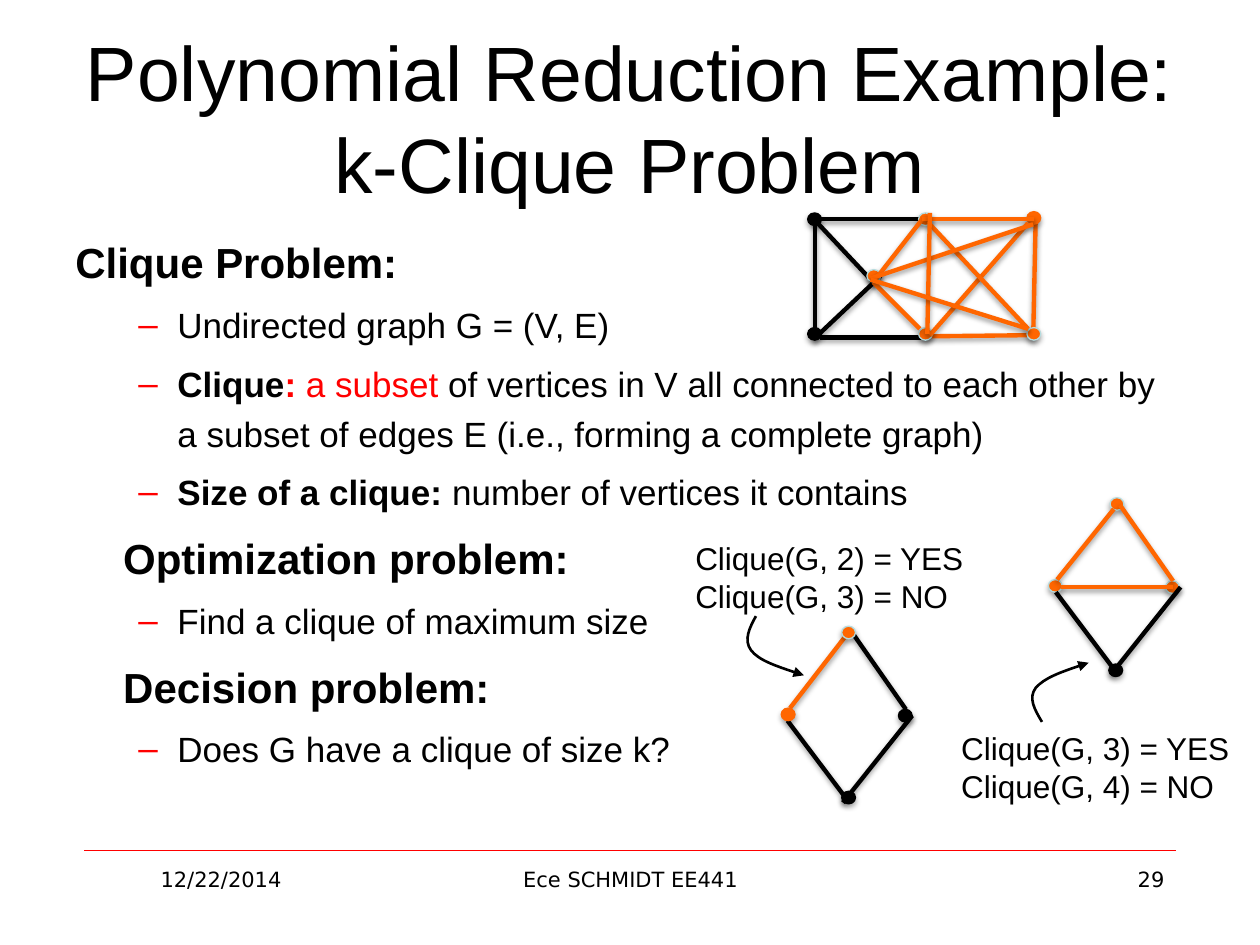
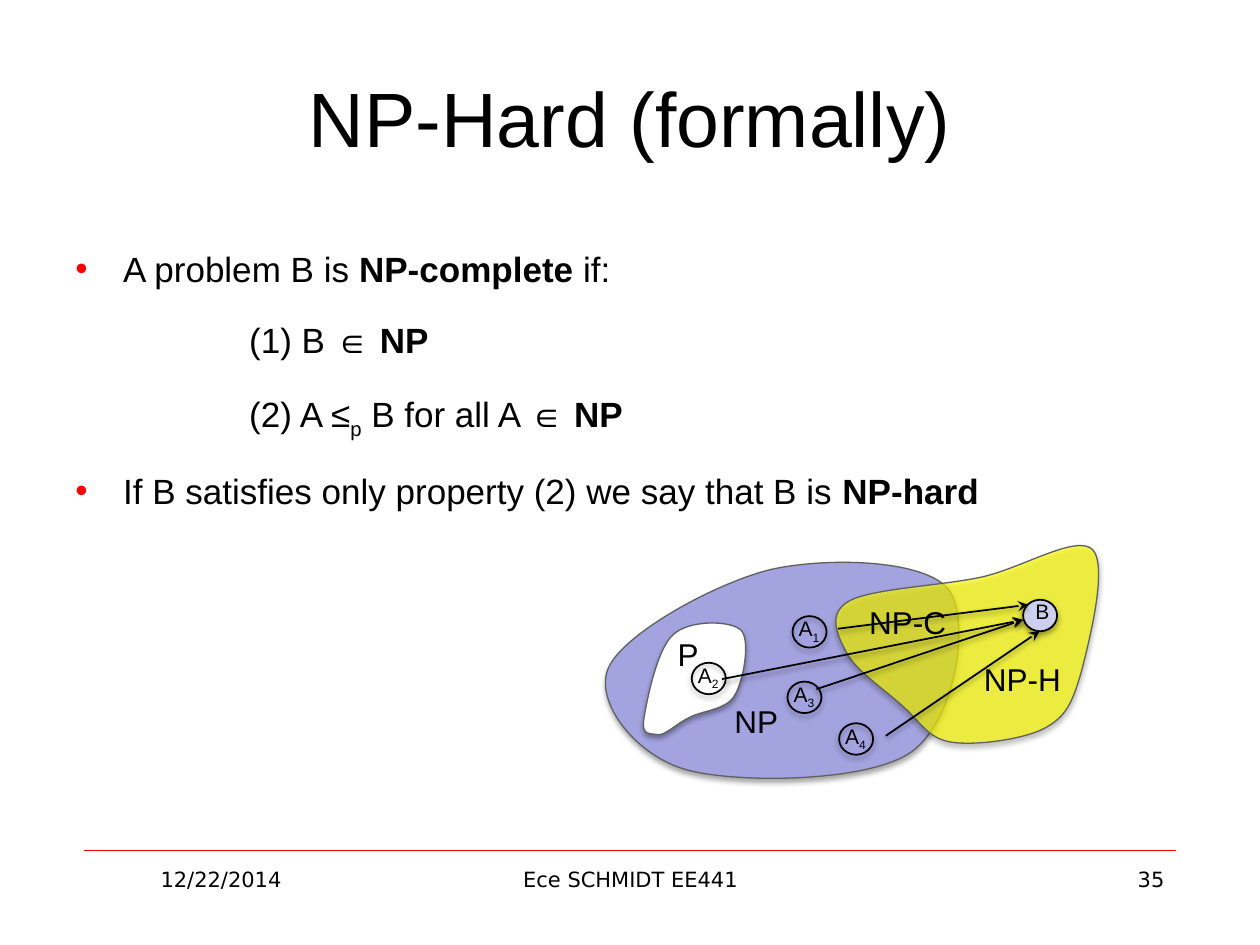
from dataclasses import dataclass

from lxml import etree
from pptx import Presentation
from pptx.dml.color import RGBColor
from pptx.enum.shapes import MSO_CONNECTOR, MSO_SHAPE
from pptx.enum.text import MSO_ANCHOR, PP_ALIGN
from pptx.oxml.ns import qn
from pptx.oxml.xmlchemy import OxmlElement
from pptx.util import Inches, Pt

STRAIGHT = MSO_CONNECTOR.STRAIGHT
OVAL = MSO_SHAPE.OVAL
LEFT, CENTER, RIGHT = PP_ALIGN.LEFT, PP_ALIGN.CENTER, PP_ALIGN.RIGHT
TOP, MIDDLE = MSO_ANCHOR.TOP, MSO_ANCHOR.MIDDLE


@dataclass(frozen=True)
class Theme:
    black: str = "000000"
    red: str = "FF0000"
    orange: str = "FF6600"
    pale_teal: str = "B6DCDF"
    lavender: str = "A3A3E0"
    light_lavender: str = "CECEEF"
    yellow: str = "FFFF00"
    white: str = "FFFFFF"
    grey: str = "606060"
    font: str = "Arial"
    footer_font: str = "DejaVu Sans"
    title_size: int = 44
    heading_size: int = 24
    body_size: int = 20
    label_size: int = 18
    small_size: int = 12


THEME = Theme()
BOLD = {"bold": True}
RED = {"color": THEME.red}
SUBSCRIPT = {"subscript": True}
TITLE_BOX = (0.5, 0.3, 9, 1.25)
BODY_BOX = (0.5, 1.75, 9, 4.95)
NODE_SIZE = (0.11, 0.1)
CIRCLE_SIZE = (0.27, 0.25)


def rgb(color):
    return RGBColor.from_string(color)


def write_run(paragraph, text, size, font=THEME.font, color=THEME.black,
              bold=False, subscript=False):
    run = paragraph.add_run()
    run.text = text
    run.font.size = Pt(size)
    run.font.name = font
    run.font.color.rgb = rgb(color)
    run.font.bold = bold
    if subscript:
        run.font._element.set("baseline", "-25000")


def write_paragraph(paragraph, runs, align=LEFT, margin=0, hanging=0, bullet=None,
                    line_spacing=1.0, before=0, **run_format):
    paragraph.alignment = align
    paragraph.line_spacing = line_spacing
    paragraph.space_before = Pt(before)
    properties = paragraph._p.get_or_add_pPr()
    properties.set("marL", str(Inches(margin)))
    properties.set("indent", str(-Inches(hanging)))
    if bullet:
        bullet_color = etree.SubElement(properties, qn("a:buClr"))
        etree.SubElement(bullet_color, qn("a:srgbClr"), val=THEME.red)
        etree.SubElement(properties, qn("a:buFont"), typeface=THEME.font)
        etree.SubElement(properties, qn("a:buChar"), char=bullet)
    for run in runs:
        text, changes = (run, {}) if isinstance(run, str) else run
        write_run(paragraph, text, **{**run_format, **changes})


def add_text(slide, box, paragraphs, anchor=TOP, wrap=True, **shared_format):
    frame = slide.shapes.add_textbox(*map(Inches, box)).text_frame
    frame.word_wrap = wrap
    frame.vertical_anchor = anchor
    for index, (runs, own_format) in enumerate(paragraphs):
        paragraph = frame.add_paragraph() if index else frame.paragraphs[0]
        write_paragraph(paragraph, runs, **{**shared_format, **own_format})


def add_label(slide, box, *lines, size=THEME.label_size, **text_format):
    add_text(slide, box, [([line], {}) for line in lines], size=size, **text_format)


def add_shadow(effects, distance, opacity):
    shadow = etree.SubElement(effects, qn("a:outerShdw"), blurRad=str(Pt(3.1)),
                              dist=str(Pt(distance)), dir="5400000", rotWithShape="0")
    shadow_color = etree.SubElement(shadow, qn("a:srgbClr"), val=THEME.black)
    etree.SubElement(shadow_color, qn("a:alpha"), val=str(opacity * 1000))


def set_line(line, color, width, arrow=None):
    line.color.rgb = rgb(color)
    line.width = Pt(width)
    if arrow:
        etree.SubElement(line._get_or_add_ln(), qn("a:tailEnd"), type=arrow)


def style_shape(shape, fill, outline, width, opacity=None, shadow=True, arrow=None):
    if fill:
        shape.fill.solid()
        shape.fill.fore_color.rgb = rgb(fill)
    else:
        shape.fill.background()
    if opacity:
        fill_color = shape._element.spPr.find(qn("a:solidFill"))[0]
        etree.SubElement(fill_color, qn("a:alpha"), val=str(opacity * 1000))
    set_line(shape.line, outline, width, arrow)
    shape.shadow.inherit = False
    if shadow:
        add_shadow(shape._element.spPr.find(qn("a:effectLst")), 1.8, 35)


def add_line(slide, start, end, color=THEME.black, width=2.5, arrow=None, shadow=True):
    connector = slide.shapes.add_connector(STRAIGHT, *map(Inches, (*start, *end)))
    set_line(connector.line, color, width, arrow)
    effects = etree.SubElement(connector._element.spPr, qn("a:effectLst"))
    if shadow:
        add_shadow(effects, 1.6, 38)


def add_oval(slide, corner, size, fill, outline, width):
    oval = slide.shapes.add_shape(OVAL, *map(Inches, (*corner, *size)))
    style_shape(oval, fill, outline, width)


def add_curve(slide, points, fill=None, outline=THEME.grey, width=0.75, **style):
    start, *rest = [tuple(map(Inches, point)) for point in points]
    builder = slide.shapes.build_freeform(*start)
    builder.add_line_segments(rest, close=bool(fill))
    curve = builder.convert_to_shape()
    segments = list(curve._element.iter(qn("a:lnTo")))
    for first in range(0, len(segments), 3):
        bezier = OxmlElement("a:cubicBezTo")
        segments[first].addprevious(bezier)
        for segment in segments[first:first + 3]:
            bezier.append(segment[0])
            segment.getparent().remove(segment)
    style_shape(curve, fill, outline, width, **style)


def add_edges(slide, color, edges):
    for start, end in edges:
        add_line(slide, start, end, color)


def add_nodes(slide, fill, outline, corners):
    for corner in corners:
        add_oval(slide, corner, NODE_SIZE, fill, outline, 0.75)


def add_pointer(slide, points):
    add_curve(slide, points, outline=THEME.black, width=1.5, shadow=False, arrow="triangle")


def add_problem(slide, corner, runs, label_offset=(-0.05, -0.05), label_width=0.41, fill=None):
    add_oval(slide, corner, CIRCLE_SIZE, fill, THEME.black, 1)
    left, top = (place + offset for place, offset in zip(corner, label_offset))
    add_text(slide, (left, top, label_width, 0.3), [(runs, {})], size=THEME.small_size)


def add_frame(deck, title, number):
    slide = deck.slides.add_slide(deck.slide_layouts[6])
    add_line(slide, (0.67, 6.75), (9.33, 6.75), THEME.red, 0.25, shadow=False)
    add_label(slide, TITLE_BOX, title, size=THEME.title_size, align=CENTER, anchor=MIDDLE)
    footers = (("12/22/2014", 0.67, 2.17, CENTER),
               ("Ece SCHMIDT EE441", 3.42, 3.17, CENTER),
               (str(number), 7.17, 2.17, RIGHT))
    for text, left, width, align in footers:
        add_label(slide, (left, 6.83, width, 0.52), text, size=THEME.small_size,
                  font=THEME.footer_font, align=align)
    return slide


def add_five_clique(slide):
    add_edges(slide, THEME.black, [
        ((6.46, 1.74), (6.93, 2.24)), ((6.47, 1.75), (6.47, 2.69)),
        ((6.46, 2.69), (6.99, 2.19)), ((6.47, 1.74), (7.29, 1.74)),
        ((6.51, 2.68), (7.38, 2.68))])
    add_edges(slide, THEME.orange, [
        ((8.2, 2.66), (7.32, 2.67)), ((8.22, 1.74), (8.2, 2.69))])
    add_nodes(slide, THEME.black, THEME.black, [(6.41, 2.6), (6.41, 1.69)])
    add_nodes(slide, THEME.orange, THEME.pale_teal,
              [(7.29, 1.69), (8.15, 2.6), (7.29, 2.6), (6.88, 2.14)])
    add_nodes(slide, THEME.orange, THEME.orange, [(8.15, 1.68)])
    add_edges(slide, THEME.orange, [
        ((7.32, 1.74), (6.93, 2.24)), ((7.32, 1.74), (8.21, 1.74)),
        ((7.3, 2.61), (6.93, 2.24)), ((8.16, 1.77), (7.38, 2.66)),
        ((8.16, 2.61), (7.38, 1.78)), ((8.2, 1.78), (6.91, 2.21)),
        ((7.38, 1.69), (7.36, 2.65)), ((8.16, 2.61), (6.91, 2.22))])


def add_three_clique(slide):
    add_nodes(slide, THEME.orange, THEME.pale_teal, [(8.81, 3.95), (8.32, 4.6), (9.25, 4.61)])
    add_nodes(slide, THEME.black, THEME.black, [(8.8, 5.27)])
    add_label(slide, (7.53, 5.74, 2.33, 0.7), "Clique(G, 3) = YES", "Clique(G, 4) = NO",
              wrap=False)
    add_pointer(slide, [(8.27, 5.73), (8.21, 5.63), (8.16, 5.54), (8.22, 5.46),
                        (8.29, 5.38), (8.46, 5.32), (8.64, 5.26)])
    add_edges(slide, THEME.black, [((8.38, 4.7), (8.84, 5.31)), ((8.82, 5.35), (9.37, 4.66))])
    add_edges(slide, THEME.orange, [((8.89, 4.01), (9.31, 4.61)), ((8.84, 4.04), (8.39, 4.6)),
                                    ((8.42, 4.66), (9.31, 4.66))])


def add_two_clique(slide):
    add_nodes(slide, THEME.black, THEME.black, [(6.68, 6.28), (7.13, 5.63)])
    add_label(slide, (5.42, 4.23, 2.33, 0.7), "Clique(G, 2) = YES", "Clique(G, 3) = NO",
              wrap=False)
    add_pointer(slide, [(6, 4.89), (5.95, 4.98), (5.9, 5.08), (5.96, 5.16),
                        (6.02, 5.24), (6.2, 5.3), (6.38, 5.36)])
    add_edges(slide, THEME.black, [((6.77, 5.03), (7.19, 5.63)), ((6.25, 5.72), (6.71, 6.33)),
                                   ((6.69, 6.37), (7.24, 5.68))])
    add_edges(slide, THEME.orange, [((6.71, 5.05), (6.27, 5.62))])
    add_nodes(slide, THEME.orange, THEME.orange, [(6.2, 5.62)])
    add_nodes(slide, THEME.orange, THEME.pale_teal, [(6.68, 4.97)])


def build_clique_slide(deck):
    slide = add_frame(deck, "Polynomial Reduction Example: k-Clique Problem", 29)
    heading = {"size": THEME.heading_size, "bold": True, "before": 5.5}
    subheading = {**heading, "margin": 0.38}
    item = {"size": THEME.body_size, "margin": 0.81, "hanging": 0.31, "bullet": "–",
            "before": 4.6}
    add_text(slide, BODY_BOX, [
        (["Clique Problem:"], heading),
        (["Undirected graph G = (V, E)"], item),
        ([("Clique", BOLD), (":", {**BOLD, **RED}), (" a subset ", RED),
          "of vertices in V all connected to each other by a subset of edges E "
          "(i.e., forming a complete graph)"], item),
        ([("Size of a clique:", BOLD), " number of vertices it contains"], item),
        (["Optimization problem:"], subheading),
        (["Find a clique of maximum size"], item),
        (["Decision problem:"], subheading),
        (["Does G have a clique of size k?"], item),
    ], line_spacing=1.2)
    add_five_clique(slide)
    add_three_clique(slide)
    add_two_clique(slide)


def add_class_regions(slide):
    add_curve(slide, [
        (6.12, 4.52), (6.57, 4.42), (7.34, 4.44), (7.53, 4.68), (7.71, 4.92), (7.58, 5.73),
        (7.23, 5.97), (6.89, 6.21), (5.85, 6.22), (5.45, 6.11), (5.05, 6), (4.71, 5.57),
        (4.83, 5.3), (4.95, 5.03), (5.67, 4.63), (6.12, 4.52)], THEME.lavender)
    add_curve(slide, [
        (5.11, 5.71), (5.13, 5.58), (5.21, 5.16), (5.34, 5.04), (5.46, 4.92), (5.79, 4.92),
        (5.88, 5), (5.96, 5.08), (5.9, 5.41), (5.83, 5.52), (5.77, 5.63), (5.58, 5.64),
        (5.48, 5.69), (5.37, 5.74), (5.28, 5.84), (5.22, 5.83), (5.16, 5.82), (5.09, 5.84),
        (5.11, 5.71)], THEME.white)
    add_label(slide, (5.28, 4.99, 0.6, 0.4), "P")
    add_label(slide, (5.73, 5.52, 0.9, 0.4), "NP")
    add_curve(slide, [
        (7.16, 5.6), (7.3, 5.72), (7.36, 5.86), (7.55, 5.89), (7.73, 5.92), (8.12, 5.87),
        (8.29, 5.78), (8.46, 5.69), (8.51, 5.58), (8.58, 5.34), (8.64, 5.11), (8.8, 4.49),
        (8.67, 4.36), (8.54, 4.24), (8.11, 4.51), (7.79, 4.58), (7.47, 4.65), (6.92, 4.67),
        (6.74, 4.77), (6.56, 4.87), (6.65, 5.05), (6.72, 5.18), (6.79, 5.32), (7.03, 5.48),
        (7.16, 5.6)], THEME.yellow, opacity=67)
    add_label(slide, (7.71, 5.19, 0.82, 0.4), "NP-H", wrap=False)
    add_label(slide, (6.8, 4.74, 0.82, 0.4), "NP-C", wrap=False)


def build_np_hard_slide(deck):
    slide = add_frame(deck, "NP-Hard (formally)", 35)
    point = {"margin": 0.38, "hanging": 0.38, "bullet": "•"}
    condition = {"margin": 1.38}
    add_text(slide, BODY_BOX, [
        (["A problem B is ", ("NP-complete", BOLD), " if:"], point),
        (["(1) B ∈ ", ("NP", BOLD)], condition),
        (["(2) A ≤", ("p", SUBSCRIPT), " B for all A ∈ ", ("NP", BOLD)], condition),
        (["If B satisfies only property (2) we say that B is ", ("NP-hard", BOLD)], point),
    ], size=THEME.body_size, line_spacing=1.5, before=4.6)
    add_class_regions(slide)
    problems = {"2": (5.49, 5.26), "1": (6.29, 4.89), "3": (6.25, 5.41), "4": (6.66, 5.74)}
    for index, corner in problems.items():
        add_problem(slide, corner, ["A", (index, SUBSCRIPT)])
    add_problem(slide, (8.12, 4.76), ["B"], (0, -0.06), 0.27, THEME.light_lavender)
    for start, end in (((5.73, 5.39), (8.12, 4.92)), ((6.48, 5.47), (8.12, 4.92)),
                       ((6.65, 4.99), (8.16, 4.8)), ((7.03, 5.84), (8.25, 5.01))):
        add_line(slide, start, end, width=1, arrow="stealth")


def main():
    deck = Presentation()
    deck.slide_width, deck.slide_height = Inches(10), Inches(7.5)
    build_clique_slide(deck)
    build_np_hard_slide(deck)
    deck.save("out.pptx")


if __name__ == "__main__":
    main()
